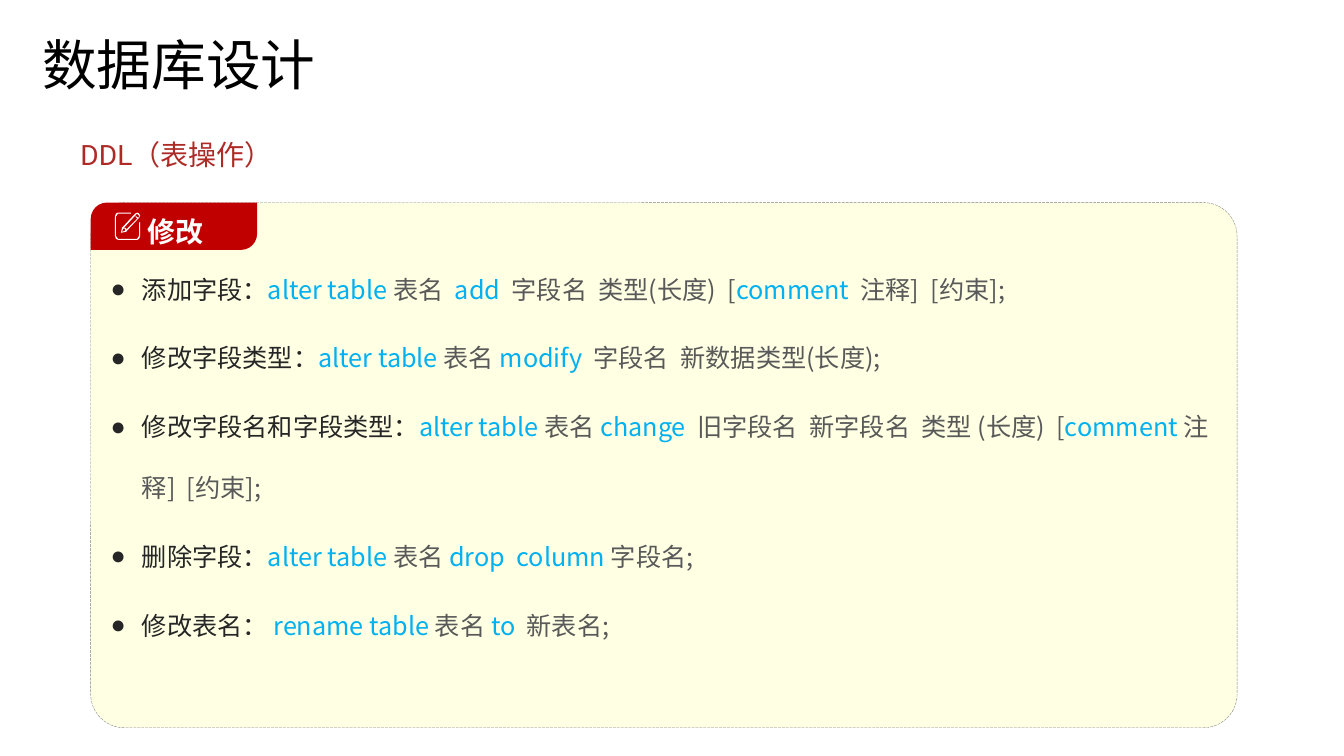
import pptx
import pptx.dml.color
import pptx.enum.dml
import pptx.enum.shapes
import pptx.enum.text
import pptx.oxml
import pptx.oxml.ns
import pptx.util
from pptx.util import Inches

SANS = "Noto Sans CJK JP"
CODE, LABEL, PLAIN = "00B0F0", "262626", "595959"
ANCHOR = pptx.enum.text.MSO_ANCHOR

# Each statement: label, then plain text with keywords between bars
STATEMENTS = [
    ("添加字段：", "|alter table |表名  |add  |字段名  类型(长度)  [|comment  |注释]  [约束];"),
    ("修改字段类型：", "|alter table |表名 |modify  |字段名  新数据类型(长度);"),
    ("修改字段名和字段类型：",
     "|alter table |表名 |change  |旧字段名  新字段名  类型 (长度)  [|comment |注释]  [约束];"),
    ("删除字段：", "|alter table |表名 |drop  column |字段名;"),
    ("修改表名：", "| rename table |表名| to  |新表名;"),
]

# Outlines of the edit icon, in inches
ICON = [
    [(1.39, 2.2), (1.38, 2.21), (1.38, 2.34), (1.36, 2.37), (1.17, 2.37), (1.15, 2.34),
     (1.15, 2.15), (1.17, 2.12), (1.3, 2.12), (1.3, 2.11), (1.17, 2.11), (1.15, 2.12),
     (1.14, 2.15), (1.14, 2.34), (1.15, 2.37), (1.17, 2.38), (1.36, 2.38), (1.38, 2.37),
     (1.39, 2.34)],
    [(1.22, 2.27), (1.24, 2.27), (1.24, 2.29), (1.21, 2.3)],
    [(1.34, 2.14), (1.36, 2.17), (1.25, 2.28), (1.25, 2.26), (1.23, 2.26)],
    [(1.35, 2.13), (1.36, 2.12), (1.38, 2.14), (1.38, 2.15), (1.37, 2.16), (1.34, 2.14)],
    [(1.2, 2.31), (1.25, 2.3), (1.38, 2.16), (1.39, 2.14), (1.38, 2.12), (1.36, 2.11),
     (1.34, 2.12), (1.21, 2.26)],
]


def colour(value):
    return pptx.dml.color.RGBColor.from_string(value)


def paint(shape, fill):
    shape.fill.solid()
    shape.fill.fore_color.rgb = colour(fill)
    shape.line.fill.background()
    shape.shadow.inherit = False


def place(shape, left, top, width, height):
    shape.left, shape.top = Inches(left), Inches(top)
    shape.width, shape.height = Inches(width), Inches(height)


def set_frame(shape, anchor=ANCHOR.MIDDLE, insets=(0.1, 0.05, 0.1, 0.05)):
    frame = shape.text_frame
    frame.word_wrap = True
    frame.auto_size = pptx.enum.text.MSO_AUTO_SIZE.NONE
    frame.vertical_anchor = anchor
    frame.margin_left, frame.margin_top, frame.margin_right, frame.margin_bottom = map(
        Inches, insets)
    return frame


def add_text(para, text, size=18, font=SANS, color=PLAIN, bold=False):
    span = para.add_run()
    span.text = text
    span.font.size = pptx.util.Pt(size)
    span.font.name = font
    span.font.bold = bold
    span.font.color.rgb = colour(color)
    east_asian = pptx.oxml.parse_xml(
        f'<a:ea {pptx.oxml.ns.nsdecls("a")} typeface="{font}"/>')
    span.font._element.find(pptx.oxml.ns.qn("a:latin")).addnext(east_asian)


def add_bullet(para, indent):
    properties = para._p.get_or_add_pPr()
    properties.set("marL", str(Inches(indent)))
    properties.set("indent", str(-Inches(indent)))
    namespace = pptx.oxml.ns.nsdecls("a")
    for element in (f'<a:buClr {namespace}><a:srgbClr val="{LABEL}"/></a:buClr>',
                    f'<a:buFont {namespace} typeface="Arial"/>',
                    f'<a:buChar {namespace} char="●"/>'):
        properties.append(pptx.oxml.parse_xml(element))


def add_statement(para, label, code):
    add_bullet(para, 0.31)
    para.line_spacing = 2.0
    add_text(para, label, color=LABEL)
    for index, part in enumerate(code.split("|")):
        if part:
            add_text(para, part, color=CODE if index % 2 else PLAIN)


def fill_card(card):
    place(card, 0.9, 2.01, 11.37, 5.21)
    card._element.spPr.append(pptx.oxml.parse_xml(
        f'<a:prstGeom {pptx.oxml.ns.nsdecls("a")} prst="roundRect"><a:avLst>'
        '<a:gd name="adj" fmla="val 6400"/></a:avLst></a:prstGeom>'))
    paint(card, "FFFFE4")
    card.line.color.rgb = colour("808080")
    card.line.width = pptx.util.Pt(0.25)
    card.line.dash_style = pptx.enum.dml.MSO_LINE.LONG_DASH
    frame = set_frame(card, ANCHOR.TOP, (0.1, 0.31, 0.1, 0.05))
    for index, (label, code) in enumerate(STATEMENTS):
        para = frame.add_paragraph() if index else frame.paragraphs[0]
        para.space_before = pptx.util.Pt(6 if index else 0)
        add_statement(para, label, code)


def add_tab(page, text):
    tab = page.shapes.add_shape(
        pptx.enum.shapes.MSO_SHAPE.ROUND_2_DIAG_RECTANGLE,
        Inches(0.9), Inches(2.01), Inches(1.65), Inches(0.47))
    tab.adjustments[0] = 0.342
    paint(tab, "C00000")
    para = set_frame(tab, insets=(0.52, 0, 0.04, 0.06)).paragraphs[0]
    para.alignment = pptx.enum.text.PP_ALIGN.LEFT
    para.line_spacing = 1.5
    add_text(para, text, size=20, color="FFFFFF", bold=True)


def add_icon(page, outlines):
    contours = [[(Inches(x), Inches(y)) for x, y in outline] for outline in outlines]
    builder = page.shapes.build_freeform(*contours[0][0])
    for index, contour in enumerate(contours):
        if index:
            builder.move_to(*contour[0])
        builder.add_line_segments(contour[1:], close=True)
    paint(builder.convert_to_shape(), "FFFFFF")


def main():
    deck = pptx.Presentation()
    deck.slide_width, deck.slide_height = Inches(13.33), Inches(7.5)
    page = deck.slides.add_slide(deck.slide_layouts[1])

    # Title
    title = page.shapes.title
    place(title, 0.32, 0.28, 6.26, 0.78)
    para = set_frame(title).paragraphs[0]
    para.alignment = pptx.enum.text.PP_ALIGN.LEFT
    para.line_spacing = 0.9
    add_text(para, "数据库设计", size=39, font="Noto Sans CJK SC", color="000000")

    # Section heading
    heading = page.shapes.add_textbox(Inches(0.7), Inches(1.25), Inches(11.76), Inches(0.57))
    add_text(set_frame(heading).paragraphs[0], "DDL（表操作）",
             size=20, font="Roboto", color="AD2A26")

    # Card with the statements, its tab and icon
    fill_card(page.placeholders[1])
    add_tab(page, "修改")
    add_icon(page, ICON)
    deck.save("out.pptx")


if __name__ == "__main__":
    main()
